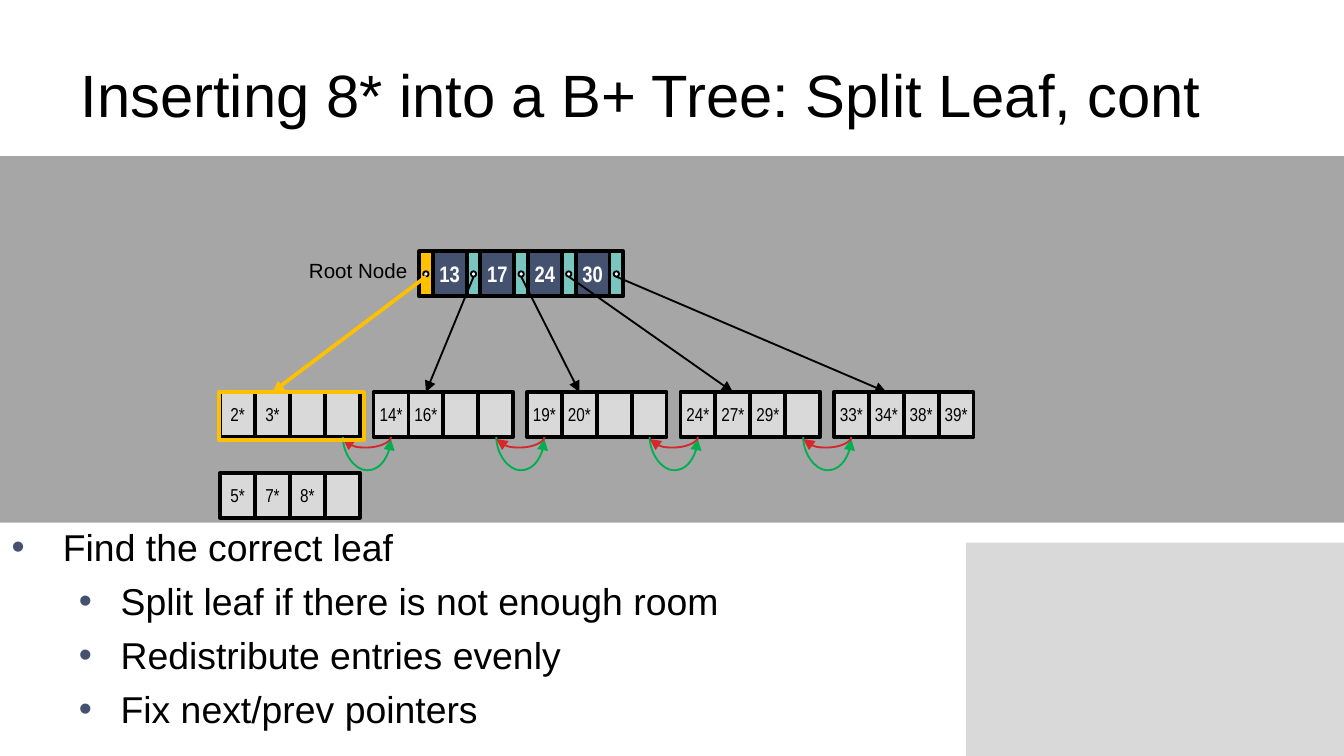
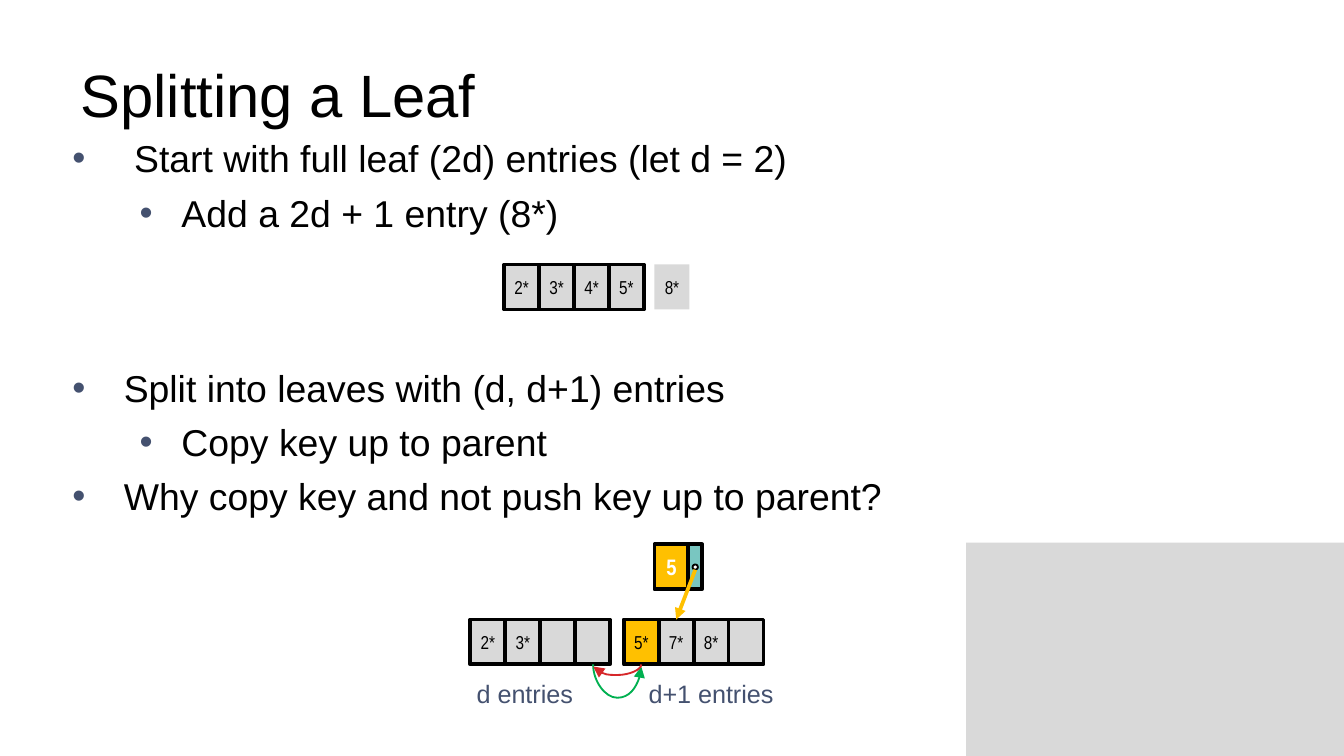
from lxml.etree import SubElement
from pptx import Presentation
from pptx.dml.color import RGBColor as RGB
from pptx.enum.shapes import MSO_CONNECTOR as LINK, MSO_SHAPE as SHAPE
from pptx.enum.text import MSO_ANCHOR as ANCHOR, PP_ALIGN as ALIGN
from pptx.oxml.ns import qn
from pptx.util import Cm, Pt


class Theme:
    black = RGB.from_string("000000")
    white = RGB.from_string("FFFFFF")
    navy = RGB.from_string("44516F")
    teal = RGB.from_string("79C6C1")
    gold = RGB.from_string("FFC000")
    pale = RGB.from_string("D9D9D9")
    grey = RGB.from_string("A6A6A6")
    green = RGB.from_string("00B050")
    red = RGB.from_string("D6272A")
    font = "Arial"
    narrow = "Arial Narrow"
    title = Pt(32)
    body = Pt(20)
    caption = Pt(13.5)
    node_label = Pt(11)
    key = Pt(12)
    entry = Pt(10)
    thick = Pt(2)
    thin = Pt(1)


CELL_W, CELL_H, LEAF_STEP = 0.66, 0.85, 2.9
KEY_W, POINTER_W, DOT = 0.64, 0.26, 0.1
CURVE_W = 0.04


def add_box(shapes, left, top, width, height, fill=None, line=None, weight=Theme.thick,
            text="", size=Theme.entry, color=Theme.black, bold=False, kind=SHAPE.RECTANGLE):
    box = shapes.add_shape(kind, Cm(left), Cm(top), Cm(width), Cm(height))
    box.shadow.inherit = False
    if fill is None:
        box.fill.background()
    else:
        box.fill.solid()
        box.fill.fore_color.rgb = fill
    if line is None:
        box.line.fill.background()
    else:
        box.line.color.rgb = line
        box.line.width = weight
    if text:
        frame = box.text_frame
        frame.margin_left = frame.margin_right = 0
        frame.vertical_anchor = ANCHOR.MIDDLE
        entry = frame.paragraphs[0]
        entry.text = text
        entry.alignment = ALIGN.CENTER
        entry.font.name, entry.font.size, entry.font.bold = Theme.narrow, size, bold
        entry.font.color.rgb = color
    return box


def add_arrow(shapes, kind, x1, y1, x2, y2, color, weight=Theme.thin):
    arrow = shapes.add_connector(kind, Cm(x1), Cm(y1), Cm(x2), Cm(y2))
    arrow.line.color.rgb = color
    arrow.line.width = weight
    SubElement(arrow.line._get_or_add_ln(), qn("a:tailEnd"), type="triangle")
    SubElement(arrow.element.spPr, qn("a:effectLst"))
    return arrow


prs = Presentation()
prs.slide_width, prs.slide_height = Cm(25.4), Cm(14.29)
title_only = prs.slide_layouts[5]

titles = ["Inserting 8* into a B+ Tree: Split Leaf, cont", "Splitting a Leaf"]
for text in titles:
    slide = prs.slides.add_slide(title_only)
    title = slide.shapes.title
    title.left, title.top, title.width, title.height = Cm(1.27), Cm(0.58), Cm(22.86), Cm(2.39)
    title.text_frame.vertical_anchor = ANCHOR.MIDDLE
    heading = title.text_frame.paragraphs[0]
    heading.text = text
    heading.alignment = ALIGN.LEFT
    heading.font.name, heading.font.size = Theme.font, Theme.title
    heading.font.color.rgb = Theme.black
inserting, splitting = prs.slides

corner = add_box(inserting.shapes, 18.26, 10.26, 7.14, 4.03, Theme.pale)
corner.element.nvSpPr.cNvPr.set("id", "20")
title_only.shapes.element.insert(2, corner.element)

add_box(inserting.shapes, 0, 2.95, 25.4, 6.93, Theme.grey)

outlines = [
    (inserting, -0.03, 9.78, 4.4, [
        (0, "Find the correct leaf", 5),
        (1, "Split leaf if there is not enough room", 5),
        (1, "Redistribute entries evenly", 5),
        (1, "Fix next/prev pointers", 5),
    ]),
    (splitting, 1.12, 2.44, 9.42, [
        (0, " Start with full leaf (2d) entries (let d = 2)", 5),
        (1, "Add a 2d + 1 entry (8*)", 5),
        (0, "Split into leaves with (d, d+1) entries", 70),
        (1, "Copy key up to parent", 5),
        (0, "Why copy key and not push key up to parent?", 5),
    ]),
]
for slide, left, top, height, points in outlines:
    outline = slide.shapes.add_textbox(Cm(left), Cm(top), Cm(22.86), Cm(height)).text_frame
    outline.word_wrap = True
    for number, (level, text, space) in enumerate(points):
        point = outline.add_paragraph() if number else outline.paragraphs[0]
        point.text = text
        point.level = level
        point.space_before = Pt(space)
        margin, hang = [(0.97, 0.97), (2.06, 0.79)][level]
        props = point._p.get_or_add_pPr()
        props.set("marL", str(Cm(margin)))
        props.set("indent", str(-Cm(hang)))
        SubElement(SubElement(props, qn("a:buClr")), qn("a:srgbClr"), val=str(Theme.navy))
        SubElement(props, qn("a:buFont"), typeface=Theme.font)
        SubElement(props, qn("a:buChar"), char="•")
        point.font.name, point.font.size = Theme.font, Theme.body
        point.font.color.rgb = Theme.black

labels = [
    (inserting, 5.59, 4.75, 2.41, 0.74, "Root Node", Theme.node_label, Theme.black),
    (splitting, 8.76, 12.7, 2.36, 0.84, "d entries", Theme.caption, Theme.navy),
    (splitting, 12.01, 12.7, 2.92, 0.84, "d+1 entries", Theme.caption, Theme.navy),
]
for slide, left, top, width, height, text, size, color in labels:
    frame = slide.shapes.add_textbox(Cm(left), Cm(top), Cm(width), Cm(height)).text_frame
    frame.word_wrap = False
    label = frame.paragraphs[0]
    label.text = text
    label.font.name, label.font.size = Theme.font, size
    label.font.color.rgb = color

root = [("", Theme.gold)]
for key in ["13", "17", "24", "30"]:
    root += [(key, Theme.navy), ("", Theme.teal)]
copied_up = [("5", Theme.gold), ("", Theme.teal)]

trees = [
    (inserting, 7.92, 4.75, root, 4.16, 7.41,
     ["2* 3*", "14* 16*", "19* 20*", "24* 27* 29*", "33* 34* 38* 39*"],
     (4.16, 8.94, "5* 7* 8*"), None),
    (splitting, 12.37, 10.29, copied_up, 8.89, 11.71,
     ["2* 3*", "5* 7* 8*"], (9.53, 5, "2* 3* 4* 5*"), "5*"),
]
for slide, node_left, node_top, node, chain_left, chain_top, chain, spare, copied in trees:
    leaf_lefts = [chain_left + LEAF_STEP * place for place in range(len(chain))]
    leaves = [(left, chain_top, entries) for left, entries in zip(leaf_lefts, chain)]
    for left, top, entries in leaves + [spare]:
        leaf = slide.shapes.add_group_shape().shapes
        values = entries.split()
        for slot in range(4):
            value = values[slot] if slot < len(values) else ""
            is_copied = value and value == copied and top == chain_top
            add_box(leaf, left + CELL_W * slot, top, CELL_W, CELL_H,
                    Theme.gold if is_copied else Theme.pale, Theme.black, text=value)

    parent = slide.shapes.add_group_shape().shapes
    pointers = []
    left = node_left
    for key, fill in node:
        width = KEY_W if key else POINTER_W
        add_box(parent, left, node_top, width, CELL_H, fill, Theme.black,
                text=key, size=Theme.key, color=Theme.white, bold=True)
        if not key:
            add_box(parent, left + 0.08, node_top + 0.38, DOT, DOT, Theme.white,
                    Theme.black, Theme.thin, kind=SHAPE.OVAL)
            pointers.append(left + POINTER_W / 2)
        left += width

    for number, (start, target) in enumerate(zip(pointers, leaf_lefts[-len(pointers):])):
        color, weight = (Theme.black, Theme.thin) if number else (Theme.gold, Theme.thick)
        add_arrow(slide.shapes, LINK.STRAIGHT, start, node_top + 0.48,
                  target + 0.99, chain_top, color, weight)

    for here, following in zip(leaf_lefts, leaf_lefts[1:]):
        start, end = here + 2.32, following + 0.33
        middle, half = (start + end) / 2, (end - start) / 2
        level = chain_top + CELL_H + CURVE_W / 2
        for color, depth, turn, flip in [(Theme.green, 0.63, 270, "1"), (Theme.red, 0.2, 90, "0")]:
            curve = add_arrow(slide.shapes, LINK.CURVE, middle - CURVE_W / 2, level - half,
                              middle + CURVE_W / 2, level + half, color)
            frame = curve.element.spPr.find(qn("a:xfrm"))
            frame.set("rot", str(turn * 60000))
            frame.set("flipH", flip)
            guides = curve.element.spPr.find(qn("a:prstGeom")).find(qn("a:avLst"))
            SubElement(guides, qn("a:gd"), name="adj1",
                       fmla=f"val {round(depth / CURVE_W * 100000)}")

add_box(inserting.shapes, 4.14, 7.41, 2.74, 0.91, line=Theme.gold)
add_box(splitting.shapes, 12.37, 5, CELL_W, CELL_H, Theme.pale, text="8*")

prs.save("out.pptx")
